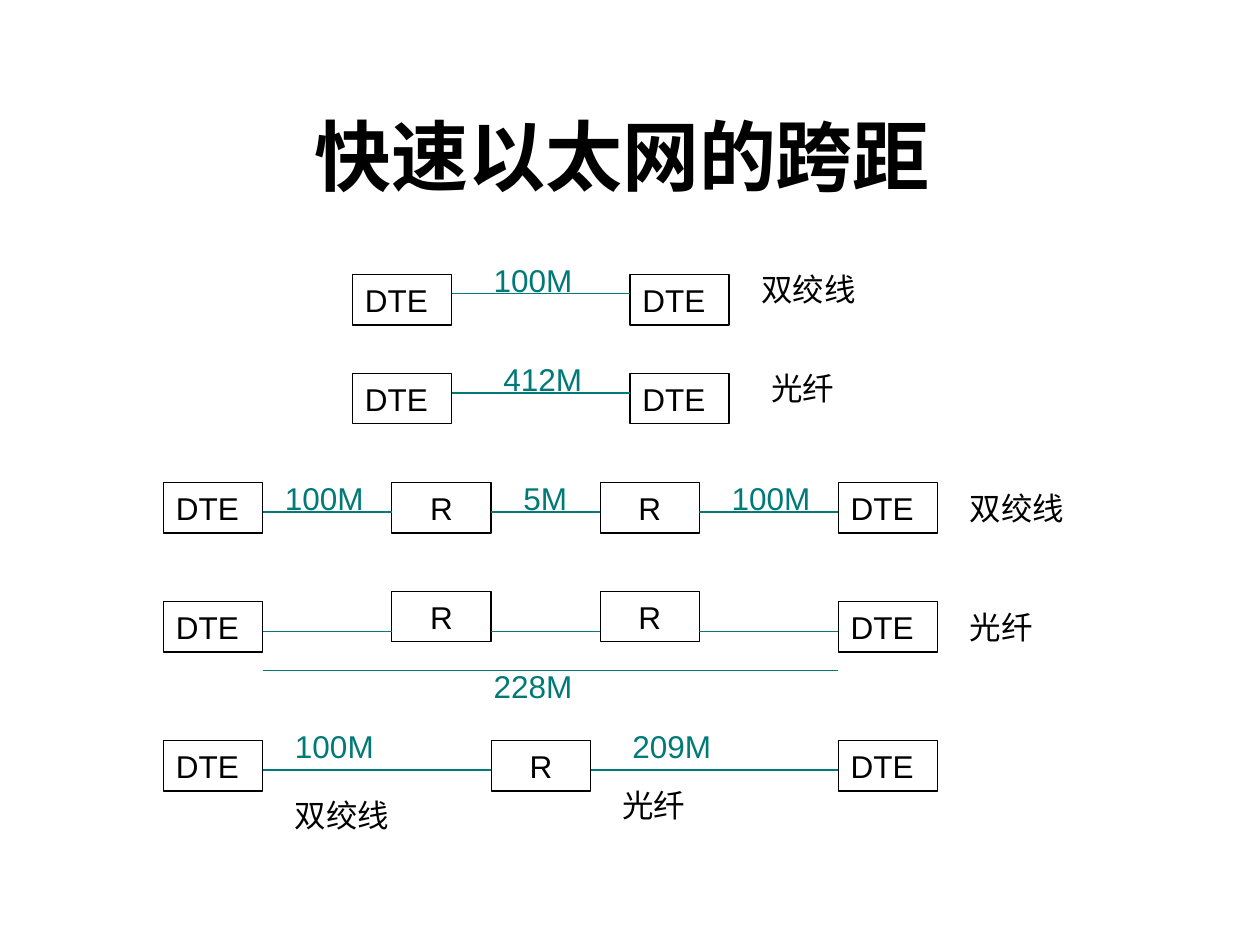
from lxml import etree
from pptx import Presentation
from pptx.dml.color import RGBColor
from pptx.enum.shapes import MSO_CONNECTOR, MSO_SHAPE
from pptx.enum.text import MSO_ANCHOR, PP_ALIGN
from pptx.oxml.ns import qn
from pptx.util import Pt

RECT, STRAIGHT = MSO_SHAPE.RECTANGLE, MSO_CONNECTOR.STRAIGHT
TOP, MIDDLE = MSO_ANCHOR.TOP, MSO_ANCHOR.MIDDLE
LEFT, CENTER = PP_ALIGN.LEFT, PP_ALIGN.CENTER
COLORS = {"black": "000000", "teal": "007A77"}
BOX_W, BOX_H = 56.7, 28.8

prs = Presentation()
prs.slide_width, prs.slide_height = Pt(720), Pt(540)
s = prs.slides.add_slide(prs.slide_layouts[5])


def write(sp, text, color="black", size=18, bold=False, align=LEFT, anchor=TOP):
    tf = sp.text_frame
    margins = {"margin_left": 7.2, "margin_right": 7.2, "margin_top": 3.6, "margin_bottom": 3.6}
    for name, value in margins.items():
        setattr(tf, name, Pt(value))
    tf.word_wrap = True
    tf.vertical_anchor = anchor
    p = tf.paragraphs[0]
    p.alignment = align
    r = p.add_run()
    r.text = text
    for name, value in {"name": "Arial", "size": Pt(size), "bold": bold}.items():
        setattr(r.font, name, value)
    r.font.color.rgb = RGBColor.from_string(COLORS[color])


def link(x1, x2, y):
    """Draw a horizontal cable between two x positions."""
    sp = s.shapes.add_connector(STRAIGHT, Pt(x1), Pt(y), Pt(x2), Pt(y))
    sp.line.color.rgb = RGBColor.from_string(COLORS["teal"])
    sp.line.width = Pt(0.75)
    etree.SubElement(sp._element.spPr, qn("a:effectLst"))


title = s.shapes.title
title.left, title.top, title.width, title.height = Pt(19.4), Pt(43.2), Pt(672.5), Pt(90)
write(title, "快速以太网的跨距", size=44, bold=True, align=CENTER, anchor=MIDDLE)

# Each row: DTE top, repeater top, cable y, and the nodes from left to right
rows = [
    (157, None, 167.9, [("DTE", 201.5), ("DTE", 360)]),
    (213.4, None, 224.6, [("DTE", 201.5), ("DTE", 360)]),
    (275.8, 275.8, 292.6, [("DTE", 93.5), ("R", 223.9), ("R", 343), ("DTE", 479)]),
    (343.8, 338, 360.7, [("DTE", 93.5), ("R", 223.9), ("R", 343), ("DTE", 479)]),
    (423.2, 423.2, 440, [("DTE", 93.5), ("R", 280.8), ("DTE", 479)]),
]
for dte_top, repeater_top, cable_y, nodes in rows:
    for label, x in nodes:
        is_repeater = label == "R"
        y = repeater_top if is_repeater else dte_top
        sp = s.shapes.add_shape(RECT, Pt(x), Pt(y), Pt(BOX_W), Pt(BOX_H))
        sp.shadow.inherit = False
        sp.fill.background()
        sp.line.color.rgb = RGBColor.from_string(COLORS["black"])
        sp.line.width = Pt(0.75)
        write(sp, label, align=CENTER if is_repeater else LEFT)
    for (_, x1), (_, x2) in zip(nodes, nodes[1:]):
        link(x1 + BOX_W, x2, cable_y)

# Total span of the fibre row with two repeaters
link(93.5 + BOX_W, 479, 383.3)

# Text, left, top, width
distances = [
    ("100M", 275, 145.7, 68),
    ("412M", 280.6, 202.4, 63),
    ("100M", 155.7, 270, 63),
    ("5M", 292, 270, 40),
    ("100M", 411, 270, 63),
    ("228M", 275, 377.7, 90.7),
    ("100M", 161.5, 412, 102),
    ("209M", 354.3, 412, 96.4),
]
media = [
    ("双绞线", 427.8, 151, 79),
    ("光纤", 433.5, 207.6, 79),
    ("双绞线", 547, 275.8, 85),
    ("光纤", 547, 343.8, 90.7),
    ("双绞线", 161.5, 451.5, 102),
    ("光纤", 348.5, 445.7, 124.6),
]
for color, labels in (("teal", distances), ("black", media)):
    for text, x, y, width in labels:
        write(s.shapes.add_textbox(Pt(x), Pt(y), Pt(width), Pt(BOX_H)), text, color)

prs.save("out.pptx")
